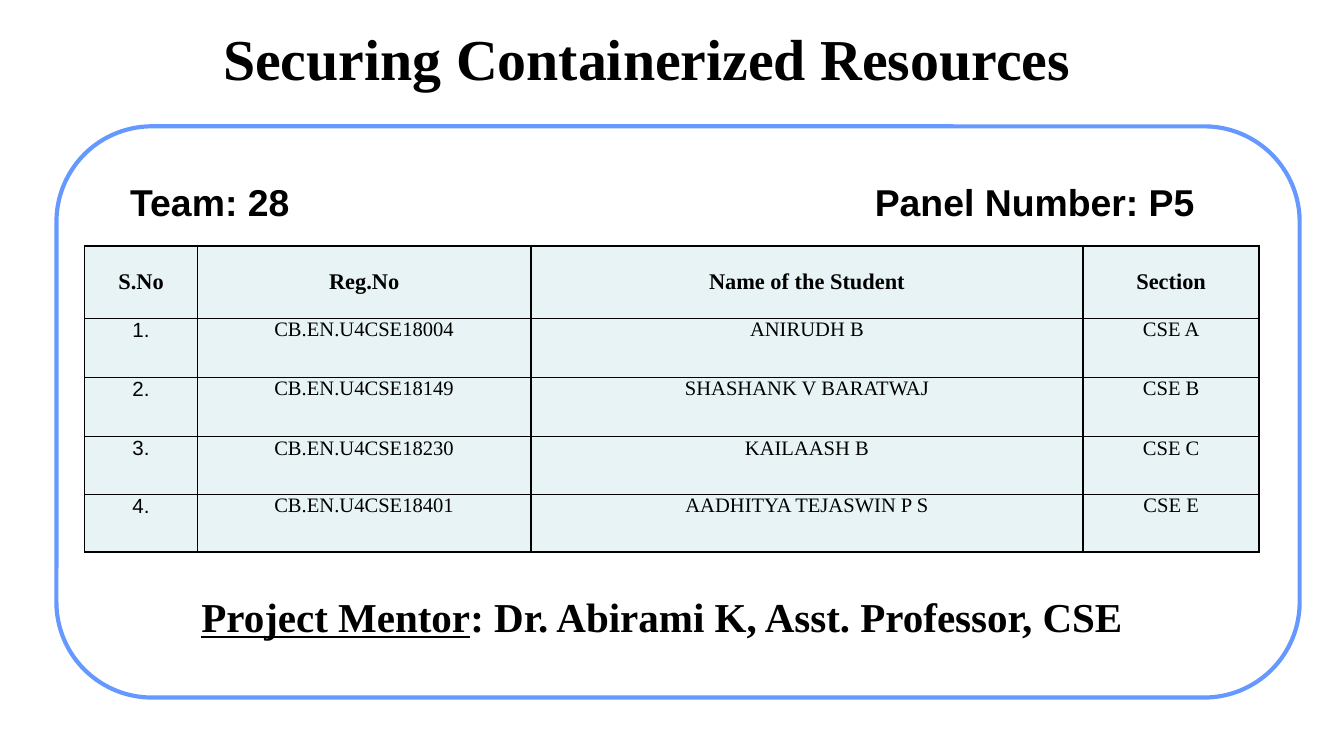
from lxml import etree
from pptx import Presentation
from pptx.dml.color import RGBColor
from pptx.enum import shapes, text
from pptx.oxml import ns
from pptx.util import Inches, Pt

SERIF, SANS = "Times New Roman", "Arial"
CENTER = text.PP_ALIGN.CENTER
HEADERS = ["S.No", "Reg.No", "Name of the Student", "Section"]
STUDENTS = [
    ("CB.EN.U4CSE18004", "ANIRUDH B", "CSE A"),
    ("CB.EN.U4CSE18149", "SHASHANK V BARATWAJ", "CSE B"),
    ("CB.EN.U4CSE18230", "KAILAASH B", "CSE C"),
    ("CB.EN.U4CSE18401", "AADHITYA TEJASWIN P S", "CSE E"),
]
COLUMN_WIDTHS = [0.84, 2.48, 4.11, 1.31]
ROW_HEIGHTS = [0.54, 0.44, 0.44, 0.43, 0.43]


def color(value):
    return RGBColor.from_string(value)


def add_run(paragraph, words, **font_values):
    run = paragraph.add_run()
    run.text = words
    run.font.color.rgb = color("000000")
    for name, value in font_values.items():
        setattr(run.font, name, value)


def add_text_box(slide, box, inset, anchor=text.MSO_ANCHOR.TOP):
    """Add a wrapping text box and return its first paragraph."""
    frame = slide.shapes.add_textbox(*map(Inches, box)).text_frame
    frame.word_wrap = True
    frame.vertical_anchor = anchor
    for side in ("left", "top", "right", "bottom"):
        setattr(frame, f"margin_{side}", Inches(inset))
    return frame.paragraphs[0]


def add_tab_stop(paragraph, position):
    tabs = etree.SubElement(paragraph._p.get_or_add_pPr(), ns.qn("a:tabLst"))
    etree.SubElement(tabs, ns.qn("a:tab"), pos=str(Inches(position)), algn="l")


def add_frame(slide):
    shape = slide.shapes.add_shape(
        shapes.MSO_SHAPE.ROUNDED_RECTANGLE,
        *map(Inches, (0.42, 0.94, 9.25, 4.25)))
    shape.adjustments[0] = 0.167
    shape.shadow.inherit = False
    shape.fill.solid()
    shape.fill.fore_color.rgb = color("FFFFFF")
    shape.line.color.rgb = color("6699FF")
    shape.line.width = Pt(2.25)


def add_borders(cell):
    properties = cell._tc.get_or_add_tcPr()
    for index, side in enumerate(("lnL", "lnR", "lnT", "lnB")):
        line = etree.Element(ns.qn(f"a:{side}"), w=str(Pt(1)))
        fill = etree.SubElement(line, ns.qn("a:solidFill"))
        etree.SubElement(fill, ns.qn("a:srgbClr"), val="000000")
        properties.insert(index, line)


def fill_cell(cell, words, **font_values):
    cell.fill.solid()
    cell.fill.fore_color.rgb = color("E7F3F4")
    for side in ("left", "top", "right", "bottom"):
        setattr(cell, f"margin_{side}", 0)
    paragraph = cell.text_frame.paragraphs[0]
    paragraph.alignment = CENTER
    add_run(paragraph, words, **font_values)
    add_borders(cell)


def add_student_table(slide):
    rows = [HEADERS] + [(f"{number}.", *student)
                        for number, student in enumerate(STUDENTS, 1)]
    table = slide.shapes.add_table(
        len(rows), len(HEADERS), Inches(0.63), Inches(1.83),
        Inches(sum(COLUMN_WIDTHS)), Inches(sum(ROW_HEIGHTS))).table
    for column, width in zip(table.columns, COLUMN_WIDTHS):
        column.width = Inches(width)
    for row, height in zip(table.rows, ROW_HEIGHTS):
        row.height = Inches(height)
    for r, values in enumerate(rows):
        for c, words in enumerate(values):
            cell = table.cell(r, c)
            header = r == 0
            fill_cell(cell, words, size=Pt(12 if header else 11), bold=header,
                      name=SANS if c == 0 and not header else SERIF)
            if header:
                cell.vertical_anchor = text.MSO_ANCHOR.MIDDLE


def main():
    # Widescreen slide, 16:9
    presentation = Presentation()
    presentation.slide_width = Inches(10)
    presentation.slide_height = Inches(10) * 9 // 16
    slide = presentation.slides.add_slide(presentation.slide_layouts[6])
    add_frame(slide)

    # Title
    title = add_text_box(slide, (0.31, -0.19, 9, 1.24), 0.05,
                         text.MSO_ANCHOR.MIDDLE)
    title.alignment = CENTER
    add_run(title, "Securing Containerized Resources",
            size=Pt(31), name=SERIF, bold=True)

    add_student_table(slide)

    # Team and panel, set apart by a tab stop
    team = add_text_box(slide, (0.87, 1.3, 8.25, 0.47), 0.1)
    team.line_spacing = 0.8
    add_tab_stop(team, 5.54)
    add_run(team, "Team: 28\tPanel Number: P5",
            size=Pt(20), name=SANS, bold=True)

    # Mentor
    mentor = add_text_box(slide, (0.8, 4.3, 8.25, 0.57), 0.1)
    mentor.alignment = CENTER
    mentor_font = {"size": Pt(22), "name": SERIF, "bold": True}
    add_run(mentor, "Project Mentor", underline=True, **mentor_font)
    add_run(mentor, ": Dr. Abirami K, Asst. Professor, CSE", **mentor_font)

    presentation.save("out.pptx")


if __name__ == "__main__":
    main()
